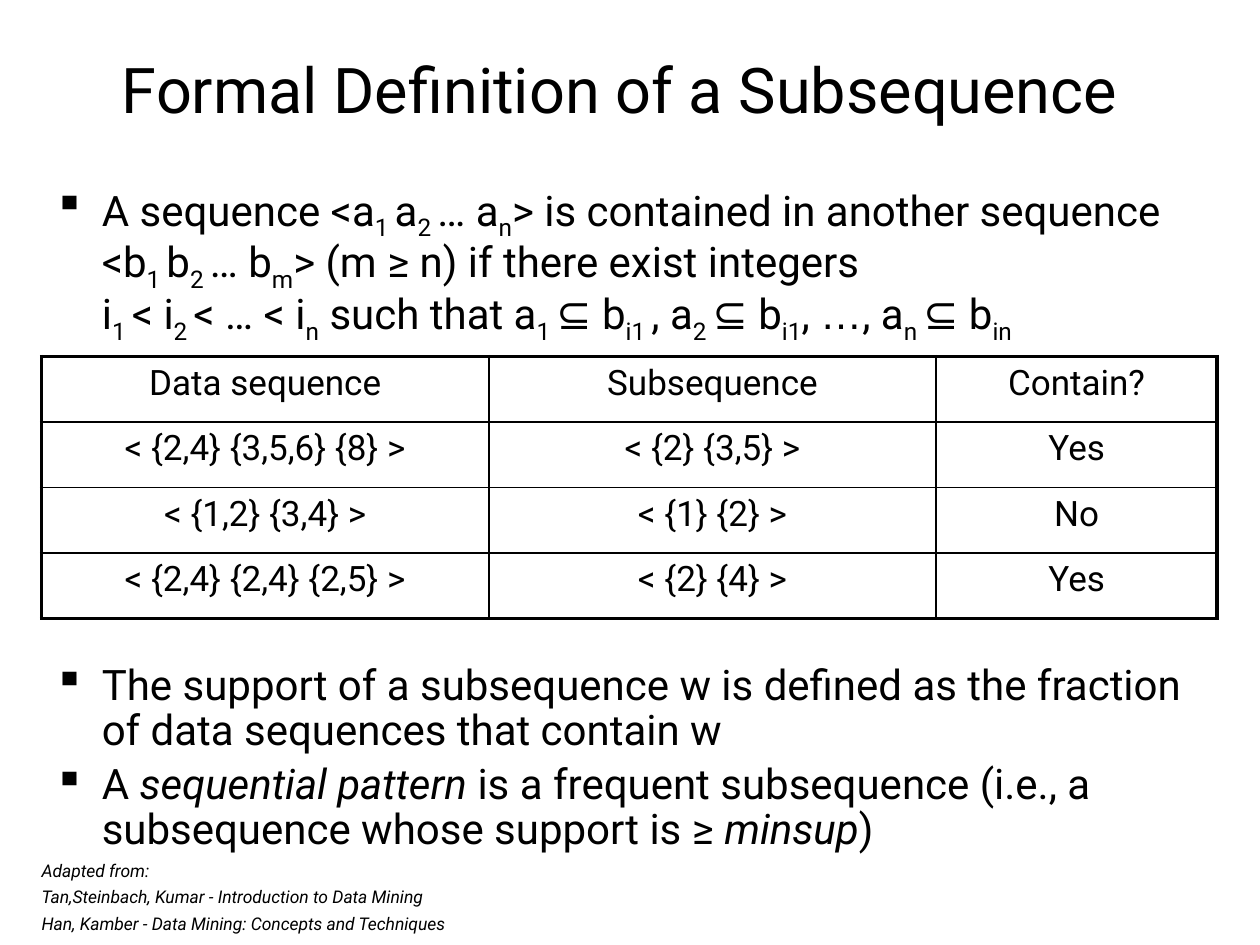
from lxml.etree import SubElement
from pptx import Presentation
from pptx.dml.color import RGBColor
from pptx.enum.text import MSO_ANCHOR as Anchor, MSO_AUTO_SIZE as AutoSize, PP_ALIGN as Align
from pptx.oxml.ns import qn
from pptx.util import Inches, Pt

BLACK = RGBColor(0, 0, 0)
FONT = "Roboto"
BODY_SIZE = 24
OUTER_BORDER, INNER_BORDER = 2.25, 1

TITLE = "Formal Definition of a Subsequence"

# Each bullet is a list of (text, style) runs; "\n" is a line break.
DEFINITION = [[
    ("A sequence <a", ""), ("1 ", "sub"), ("a", ""), ("2 ", "sub"), ("… a", ""), ("n", "sub"),
    ("> is contained in another sequence <b", ""), ("1 ", "sub"), ("b", ""), ("2 ", "sub"),
    ("… b", ""), ("m", "sub"), ("> (m ≥ n) if there exist integers ", ""), ("\n", ""),
    ("i", ""), ("1 ", "sub"), ("< i", ""), ("2 ", "sub"), ("< … < i", ""), ("n", "sub"),
    (" such that a", ""), ("1 ", "sub"), ("⊆ b", ""), ("i1 ", "sub"),
    (", a", ""), ("2 ", "sub"), ("⊆ b", ""), ("i1", "sub"), (", ", ""), ("…", "arial"),
    (", a", ""), ("n ", "sub"), ("⊆ b", ""), ("in", "sub"),
]]
SUPPORT = [
    [("The support of a subsequence w is defined as the fraction "
      "of data sequences that contain w", "")],
    [("A ", ""), ("sequential pattern", "italic"),
     (" is a frequent subsequence (i.e., a subsequence whose support is ≥ ", ""),
     ("minsup", "italic"), (")", "")],
]
EXAMPLES = [
    ("Data sequence", "Subsequence", "Contain?"),
    ("< {2,4} {3,5,6} {8} >", "< {2} {3,5} >", "Yes"),
    ("< {1,2} {3,4} >", "< {1} {2} >", "No"),
    ("< {2,4} {2,4} {2,5} >", "< {2} {4} >", "Yes"),
]
COLUMN_WIDTHS = (3.55, 3.55, 2.23)
ROW_HEIGHT = 0.52
CREDITS = [
    "Adapted from:",
    "Tan,Steinbach, Kumar - Introduction to Data Mining",
    "Han, Kamber - Data Mining: Concepts and Techniques",
]


def add_run(paragraph, text, size, style=""):
    run = paragraph.add_run()
    run.text = text
    run.font.size = Pt(size)
    run.font.name = "Arial" if style == "arial" else FONT
    run.font.color.rgb = BLACK
    if style == "italic":
        run.font.italic = True
    elif style == "sub":
        run.font._element.set("baseline", "-25000")


def add_frame(slide, left, top, width, height):
    frame = slide.shapes.add_textbox(*map(Inches, (left, top, width, height))).text_frame
    frame.word_wrap = True
    return frame


def add_paragraphs(frame, items):
    """Yield a paragraph of the frame with each item, reusing the first one."""
    for index, item in enumerate(items):
        yield frame.add_paragraph() if index else frame.paragraphs[0], item


def add_bullets(slide, top, height, bullets):
    frame = add_frame(slide, 0.33, top, 9.2, height)
    for paragraph, runs in add_paragraphs(frame, bullets):
        paragraph.line_spacing = 0.9
        paragraph.space_before = Pt(0.2 * BODY_SIZE)
        properties = paragraph._p.get_or_add_pPr()
        properties.set("marL", str(Inches(0.38)))
        properties.set("indent", str(-Inches(0.38)))
        SubElement(properties, qn("a:buChar"), char="▪")
        for text, style in runs:
            if text == "\n":
                paragraph.add_line_break()
            else:
                add_run(paragraph, text, BODY_SIZE, style)


def set_borders(cell, widths):
    """Draw black borders; widths are points for left, right, top, bottom."""
    properties = cell._tc.get_or_add_tcPr()
    for index, (side, width) in enumerate(zip(("lnL", "lnR", "lnT", "lnB"), widths)):
        line = SubElement(properties, qn(f"a:{side}"), w=str(Pt(width)))
        fill = SubElement(line, qn("a:solidFill"))
        SubElement(fill, qn("a:srgbClr"), val=str(BLACK))
        properties.remove(line)
        properties.insert(index, line)


def add_examples(slide):
    row_count, column_count = len(EXAMPLES), len(COLUMN_WIDTHS)
    table = slide.shapes.add_table(
        row_count, column_count, Inches(0.33), Inches(2.83),
        Inches(sum(COLUMN_WIDTHS)), Inches(ROW_HEIGHT * row_count)).table
    table.first_row = table.horz_banding = False
    for column, width in zip(table.columns, COLUMN_WIDTHS):
        column.width = Inches(width)
    for r, values in enumerate(EXAMPLES):
        table.rows[r].height = Inches(ROW_HEIGHT)
        for c, value in enumerate(values):
            cell = table.cell(r, c)
            cell.fill.background()
            paragraph = cell.text_frame.paragraphs[0]
            paragraph.alignment = Align.CENTER
            paragraph.space_before = Pt(4)
            add_run(paragraph, value, 20)
            on_edge = (c == 0, c == column_count - 1, r == 0, r == row_count - 1)
            set_borders(cell, [OUTER_BORDER if edge else INNER_BORDER for edge in on_edge])


def add_credits(slide):
    frame = add_frame(slide, 0.33, 6.79, 9.15, 0.62)
    frame.margin_left = frame.margin_right = frame.margin_top = frame.margin_bottom = 0
    frame.vertical_anchor = Anchor.BOTTOM
    for paragraph, text in add_paragraphs(frame, CREDITS):
        paragraph.line_spacing = Pt(15)
        add_run(paragraph, text, 10, "italic")


def add_title(slide):
    title = slide.shapes.title
    title.left, title.top, title.width, title.height = map(Inches, (0.21, 0.21, 9.42, 0.98))
    frame = title.text_frame
    frame.auto_size = AutoSize.NONE
    frame.vertical_anchor = Anchor.MIDDLE
    frame.paragraphs[0].alignment = Align.CENTER
    add_run(frame.paragraphs[0], TITLE, 36)


def main():
    deck = Presentation()
    deck.slide_width, deck.slide_height = Inches(10), Inches(7.5)
    slide = deck.slides.add_slide(deck.slide_layouts[5])
    add_title(slide)
    add_bullets(slide, 1.42, 1.4, DEFINITION)
    add_examples(slide)
    add_bullets(slide, 5.22, 1.6, SUPPORT)
    add_credits(slide)
    deck.save("out.pptx")


if __name__ == "__main__":
    main()
